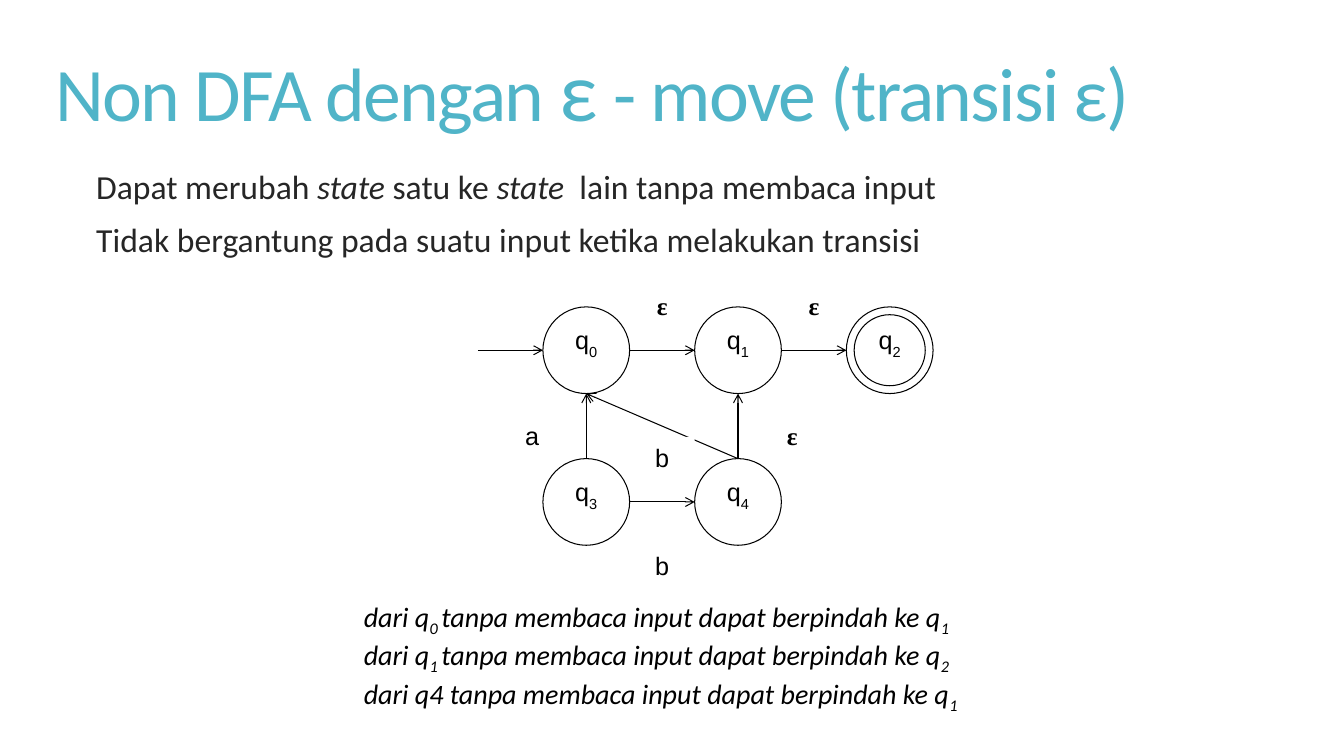
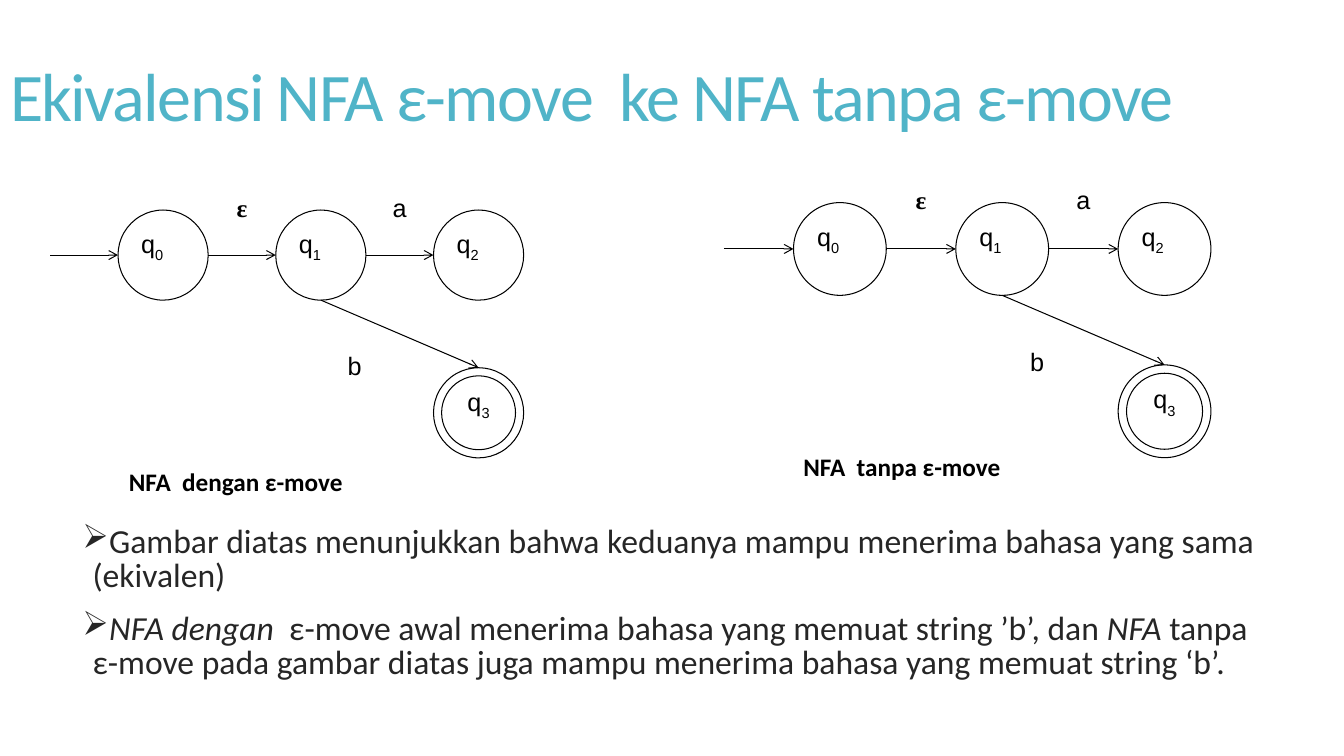
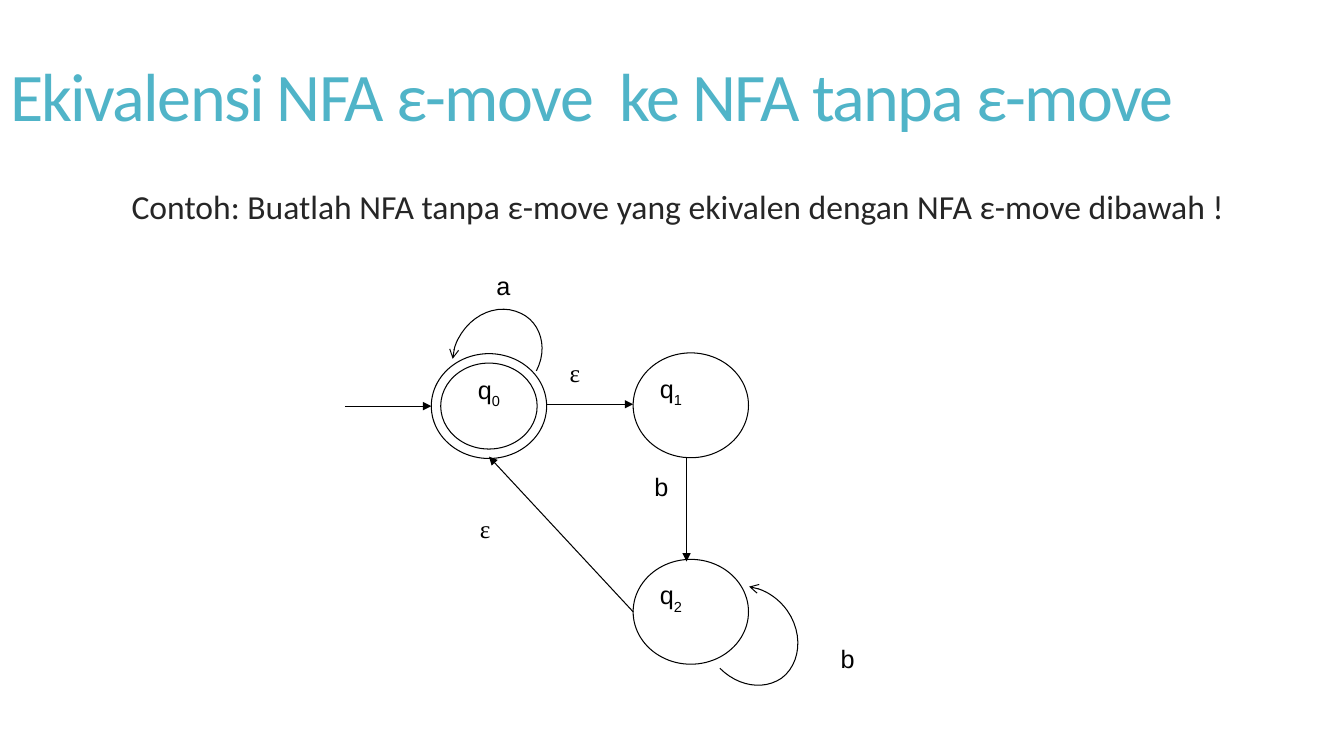
"""Build three slides on finite automata with epsilon moves."""
from dataclasses import dataclass, replace
from typing import NamedTuple

from lxml import etree
from pptx import Presentation
from pptx import util as u
from pptx.dml.color import RGBColor
from pptx.enum import shapes, text
from pptx.oxml.ns import qn

TEAL = RGBColor(0x50, 0xB4, 0xC8)
GREY = RGBColor(0x26, 0x26, 0x26)
BLACK = RGBColor(0, 0, 0)
WHITE = RGBColor(255, 255, 255)
LEFT, MID = text.PP_ALIGN.LEFT, text.PP_ALIGN.CENTER
STEPS = 12


@dataclass(frozen=True)
class Look:
    """Text style; parts between bars also get the mark attribute."""
    size: float
    font: str = "Calibri"
    color: RGBColor = BLACK
    bold: bool = False
    ital: bool = False
    align: text.PP_ALIGN = LEFT
    lead: float = 1.0
    track: int = 0
    mark: tuple[str, str] = ("baseline", "-30000")


class Box(NamedTuple):
    """Place of an item in inches."""
    left: float
    top: float
    width: float
    height: float


class Node(NamedTuple):
    """State circle at a grid point."""
    name: str
    x: float
    y: float
    final: bool = False
    align: text.PP_ALIGN = MID


class Edge(NamedTuple):
    """Arrow between two grid points."""
    x1: float
    y1: float
    x2: float
    y2: float


class Label(NamedTuple):
    """Input symbol at a grid point."""
    sign: str
    x: float
    y: float


@dataclass(frozen=True)
class Grid:
    """Diagram grid: a node is 4 by 4 units and a label 3 by 2."""
    left: float
    top: float
    wide: float
    high: float
    tip: str = "arrow"
    solid: bool = True

    def spot(self, x: float, y: float) -> tuple[int, int]:
        """Turn grid units into slide lengths."""
        return u.Inches(self.left + x * self.wide), u.Inches(self.top + y * self.high)

    def size(self, x: float, y: float) -> tuple[int, int]:
        """Turn a span in units into slide lengths."""
        return u.Inches(x * self.wide), u.Inches(y * self.high)


HEAD = Look(48.6, color=TEAL, lead=0.85, track=-120, mark=("sz", "6000"))
BODY = Look(24, color=GREY, lead=0.85, mark=("i", "1"))
NOTE = Look(20, ital=True, mark=("baseline", "-25000"))
NAME = Look(18, bold=True)
STATE = Look(18, "Arial")
SIGN = Look(18, "Arial", align=MID)
MOVE = Look(18, "Times New Roman", bold=True, align=MID)
THIN = replace(MOVE, bold=False, align=LEFT)


def write(frame, lines: list[str], look: Look) -> None:
    """Fill a text frame with styled lines."""
    frame.word_wrap = True
    frame.auto_size = text.MSO_AUTO_SIZE.NONE
    for i, line in enumerate(lines):
        para = frame.add_paragraph() if i else frame.paragraphs[0]
        para.alignment = look.align
        para.line_spacing = look.lead
        for j, part in enumerate(line.split("|")):
            if not part:
                continue
            run = para.add_run()
            run.text = part
            font = run.font
            font.name, font.size = look.font, u.Pt(look.size)
            font.bold, font.italic = look.bold, look.ital
            font.color.rgb = look.color
            props = run._r.get_or_add_rPr()
            if look.track:
                props.set("spc", str(look.track))
            if j % 2:
                props.set(*look.mark)


def place(slide, box: Box, lines: list[str], look: Look):
    """Add a text box and return its frame."""
    frame = slide.shapes.add_textbox(*map(u.Inches, box)).text_frame
    write(frame, lines, look)
    return frame


def body(slide, box: Box, lines: list[str], sign: str = " ") -> None:
    """Add the bulleted main text."""
    for para in place(slide, box, lines, BODY).paragraphs:
        para.space_before = u.Pt(13)
        props = para._p.get_or_add_pPr()
        props.set("marL", str(u.Inches(0.1)))
        props.set("indent", str(u.Inches(-0.1)))
        etree.SubElement(props, qn("a:buChar")).set("char", sign)


def start(deck, line: str, box: Box, look: Look = HEAD):
    """Add a slide with its title."""
    slide = deck.slides.add_slide(deck.slide_layouts[5])
    title = slide.shapes.title
    title.left, title.top, title.width, title.height = map(u.Inches, box)
    title.text_frame.vertical_anchor = text.MSO_ANCHOR.MIDDLE
    write(title.text_frame, [line], look)
    return slide


def stroke(shape, end: str = "", tip: str = "arrow") -> None:
    """Give a thin black line, with an arrowhead if an end is named."""
    shape.line.color.rgb = BLACK
    shape.line.width = u.Pt(0.75)
    if end:
        line = shape._element.spPr.find(qn("a:ln"))
        etree.SubElement(line, qn(f"a:{end}")).set("type", tip)


def circle(slide, grid: Grid, node: Node) -> None:
    """Draw a state, with a double ring if it is final."""
    kind = shapes.MSO_SHAPE.DONUT if node.final else shapes.MSO_SHAPE.FLOWCHART_CONNECTOR
    shape = slide.shapes.add_shape(kind, *grid.spot(node.x, node.y), *grid.size(4, 4))
    if node.final:
        shape.adjustments[0] = 0.09
    shape.shadow.inherit = False
    shape.fill.solid()
    shape.fill.fore_color.rgb = WHITE
    stroke(shape)
    shape.text_frame.vertical_anchor = text.MSO_ANCHOR.TOP
    write(shape.text_frame, [node.name], replace(STATE, align=node.align))


def arrow(slide, grid: Grid, edge: Edge) -> None:
    """Draw a straight transition."""
    line = slide.shapes.add_connector(
        shapes.MSO_CONNECTOR.STRAIGHT,
        *grid.spot(edge.x1, edge.y1), *grid.spot(edge.x2, edge.y2))
    stroke(line, "tailEnd", grid.tip)
    etree.SubElement(line._element.spPr, qn("a:effectLst"))


def symbol(slide, grid: Grid, label: Label, move: Look) -> None:
    """Write an input symbol."""
    box = slide.shapes.add_textbox(*grid.spot(label.x, label.y), *grid.size(3, 2))
    if grid.solid:
        box.fill.solid()
        box.fill.fore_color.rgb = WHITE
    write(box.text_frame, [label.sign], move if label.sign == "ε" else SIGN)


def draw(slide, grid: Grid, nodes: list[Node], edges: list[Edge],
         labels: list[Label], move: Look = MOVE) -> None:
    """Draw a whole automaton."""
    for node in nodes:
        circle(slide, grid, node)
    for edge in edges:
        arrow(slide, grid, edge)
    for label in labels:
        symbol(slide, grid, label, move)


def loop(slide, knots: list[tuple[float, float]]) -> None:
    """Draw a curved arrow along chained cubic curves, given in inches."""
    dots = [knots[0]]
    for i in range(0, len(knots) - 1, 3):
        a, b, c, d = knots[i:i + 4]
        for step in range(1, STEPS + 1):
            t = step / STEPS
            s = 1 - t
            dots.append(tuple(
                s**3 * p + 3 * s * s * t * q + 3 * s * t * t * r + t**3 * e
                for p, q, r, e in zip(a, b, c, d)))
    first, *rest = [(u.Inches(x), u.Inches(y)) for x, y in dots]
    pen = slide.shapes.build_freeform(*first)
    pen.add_line_segments(rest, close=False)
    curve = pen.convert_to_shape()
    curve.shadow.inherit = False
    curve.fill.background()
    stroke(curve, "headEnd")


def moves(deck) -> None:
    """Build the slide that explains epsilon moves."""
    slide = start(deck, "Non DFA dengan |ε| - move (transisi ε)",
                  Box(0.45, 0.47, 11.78, 0.97), replace(HEAD, size=54))
    body(slide, Box(0.69, 1.66, 11.76, 1.28), [
        "Dapat merubah |state| satu ke |state | lain tanpa membaca input",
        "Tidak bergantung pada suatu input ketika melakukan transisi"])
    draw(slide, Grid(4.74, 2.83, 0.215, 0.215),
         [Node("q|0", 3, 1), Node("q|1", 10, 1), Node("q|2", 17, 1, True),
          Node("q|3", 3, 8), Node("q|4", 10, 8)],
         [Edge(0, 3, 3, 3), Edge(7, 3, 10, 3), Edge(14, 3, 17, 3),
          Edge(5, 8, 5, 5), Edge(12, 8, 12, 5), Edge(7, 10, 10, 10),
          Edge(12, 8, 5, 5)],
         [Label("ε", 7, 0), Label("ε", 14, 0), Label("ε", 13, 6),
          Label("b", 7, 7), Label("b", 7, 12), Label("a", 1, 6)])
    place(slide, Box(3.51, 5.9, 6.75, 1.38), [
        "dari q|0 |tanpa membaca input dapat berpindah ke q|1",
        "dari q|1 |tanpa membaca input dapat berpindah ke q|2",
        "dari q4 tanpa membaca input dapat berpindah ke q|1"], NOTE)


def equal(deck):
    """Start a slide on equivalence."""
    return start(deck, "Ekivalensi NFA ε-move  ke NFA tanpa ε-move",
                 Box(0, 0.55, 11.79, 0.9))


def pair(deck) -> None:
    """Build the slide that sets two automata side by side."""
    slide = equal(deck)
    nodes = [Node(f"q|{i}", 3 + 7 * i, 1, align=LEFT) for i in range(3)]
    nodes.append(Node("q|3", 17, 8, True))
    edges = [Edge(7 * i, 3, 7 * i + 3, 3) for i in range(3)]
    edges.append(Edge(12, 5, 19, 8))
    labels = [Label("ε", 7, 0), Label("a", 14, 0), Label("b", 12, 7)]
    for left, top, unit in ((0.5, 1.86, 0.2235), (7.18, 1.78, 0.23)):
        draw(slide, Grid(left, top, unit, unit), nodes, edges, labels)
    place(slide, Box(1.18, 4.58, 3.5, 0.4), ["NFA  dengan ε-move"], NAME)
    place(slide, Box(7.87, 4.43, 3.1, 0.4), ["NFA  tanpa ε-move"], NAME)
    body(slide, Box(0.72, 5.17, 11.96, 1.75), [
        "Gambar diatas menunjukkan bahwa keduanya mampu menerima bahasa "
        "yang sama (ekivalen)",
        "|NFA dengan  |ε-move awal menerima bahasa yang memuat string ’b’, "
        "dan |NFA |tanpa ε-move pada gambar diatas juga mampu menerima "
        "bahasa yang memuat string ‘b’."], "➢")


def task(deck) -> None:
    """Build the exercise slide."""
    slide = equal(deck)
    body(slide, Box(1.04, 1.86, 11.55, 1.14), [
        "Contoh: Buatlah NFA tanpa ε-move yang ekivalen dengan NFA ε-move dibawah !"])
    loop(slide, [(7.43, 5.82), (7.57, 5.84), (7.71, 5.92), (7.81, 6.06),
                 (7.97, 6.29), (7.94, 6.59), (7.75, 6.73),
                 (7.57, 6.85), (7.32, 6.81), (7.14, 6.63)])
    loop(slide, [(4.49, 3.56), (4.5, 3.46), (4.52, 3.41), (4.54, 3.37),
                 (4.67, 3.11), (4.95, 3), (5.17, 3.11),
                 (5.36, 3.2), (5.44, 3.45), (5.32, 3.68)])
    draw(slide, Grid(3.42, 2.63, 0.286, 0.26, "triangle", False),
         [Node("q|0", 3, 3.38, True), Node("q|1", 10, 3.35, align=LEFT),
          Node("q|2", 10, 11.23, align=LEFT)],
         [Edge(0, 5.38, 3, 5.38), Edge(7, 5.31, 10, 5.31),
          Edge(11.85, 7.31, 11.85, 11.31), Edge(10, 13.23, 5, 7.31)],
         [Label("a", 4, 0), Label("b", 15.94, 14.23), Label("b", 9.48, 7.69),
          Label("ε", 4.34, 9.27), Label("ε", 7.45, 3.31)], THIN)


def main() -> None:
    """Build and save the deck."""
    deck = Presentation()
    deck.slide_width, deck.slide_height = u.Inches(13.33), u.Inches(7.5)
    for build in (moves, pair, task):
        build(deck)
    deck.save("out.pptx")


main()
